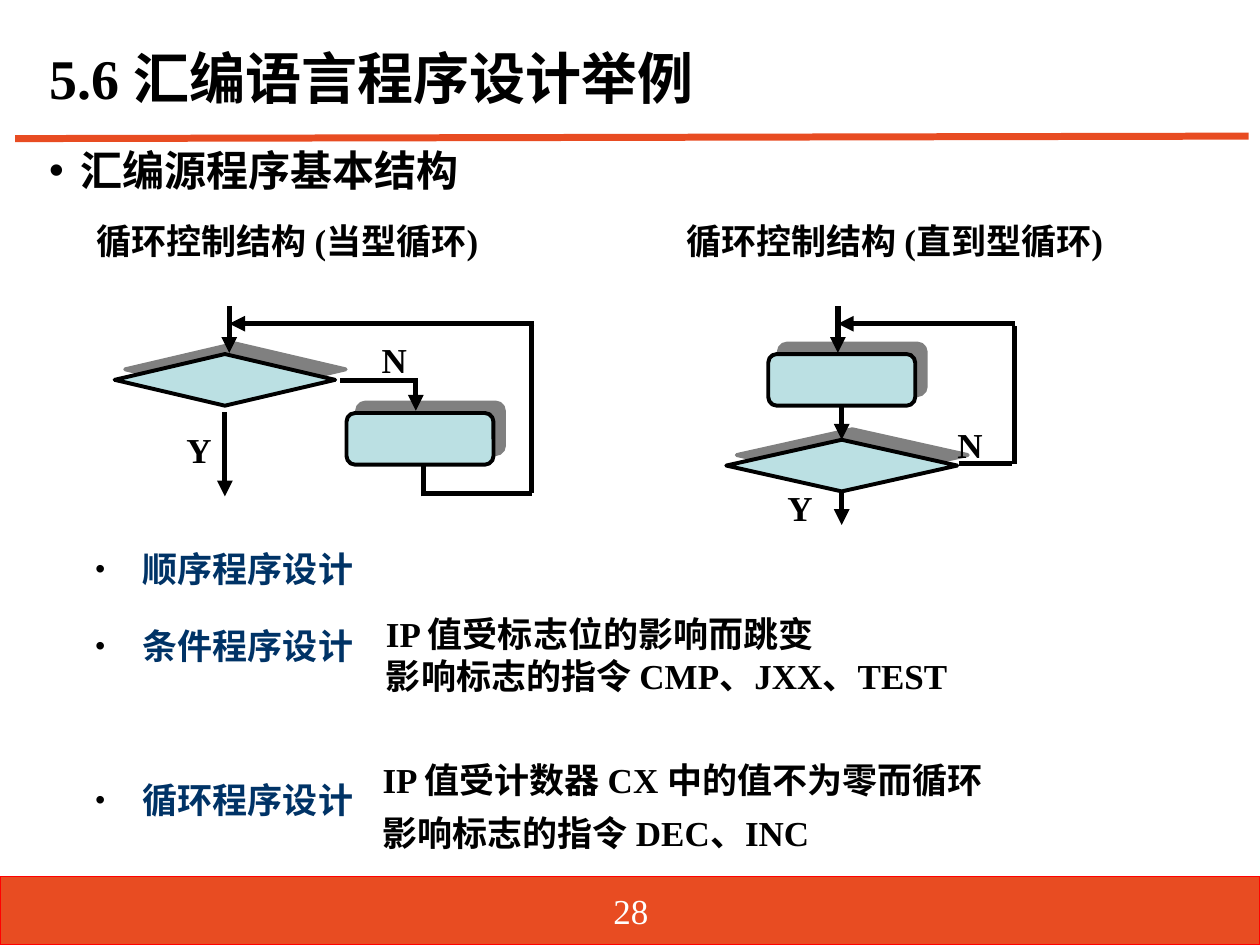
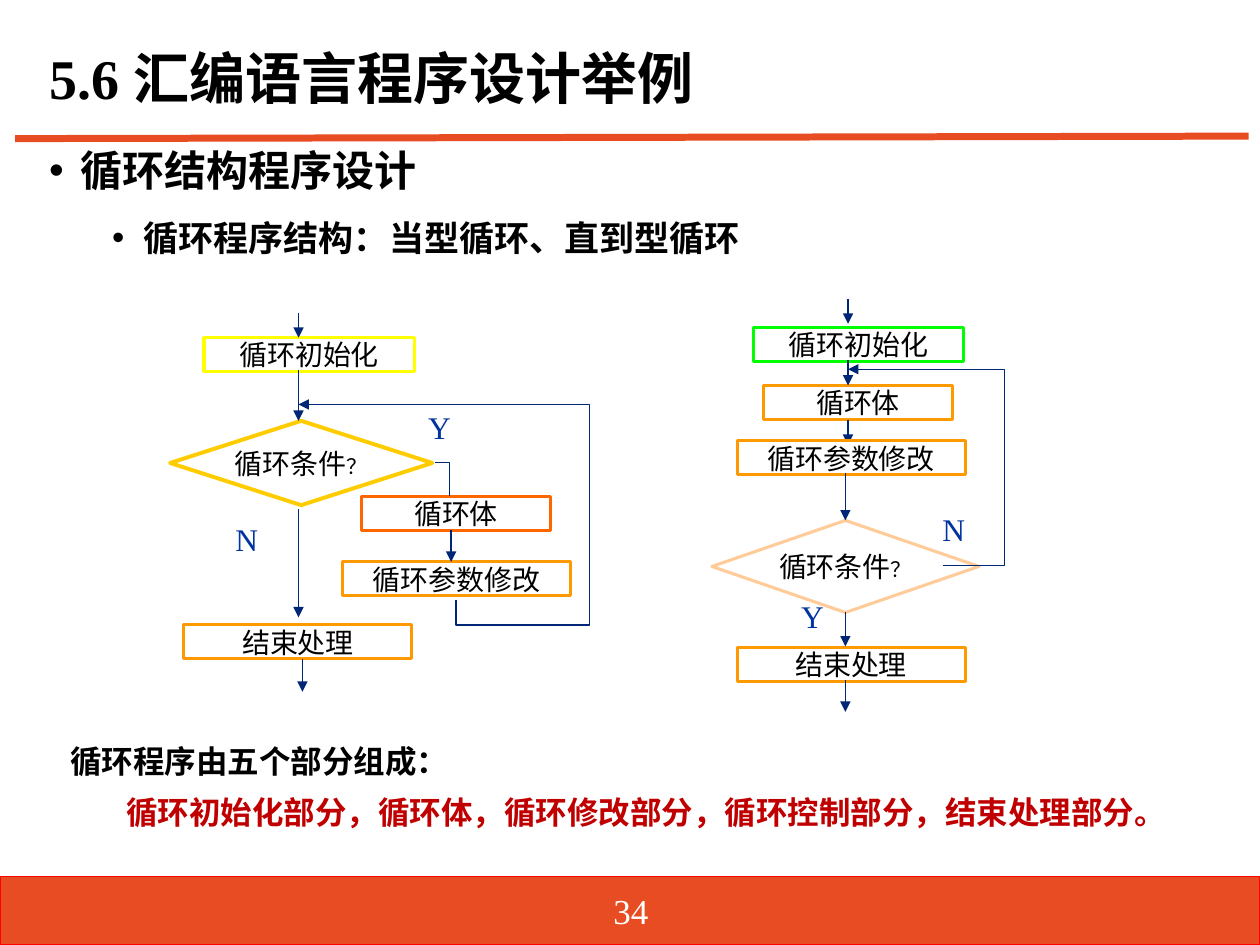
from lxml import etree
from pptx import Presentation
from pptx.dml.color import RGBColor
from pptx.enum.lang import MSO_LANGUAGE_ID
from pptx.enum.shapes import MSO_CONNECTOR, MSO_SHAPE
from pptx.enum.text import MSO_ANCHOR, PP_ALIGN
from pptx.oxml.ns import qn
from pptx.util import Pt

STRAIGHT = MSO_CONNECTOR.STRAIGHT
RECT = MSO_SHAPE.RECTANGLE
DECISION = MSO_SHAPE.FLOWCHART_DECISION
PROCESS = MSO_SHAPE.FLOWCHART_ALTERNATE_PROCESS
TOP, MIDDLE = MSO_ANCHOR.TOP, MSO_ANCHOR.MIDDLE
LEFT, CENTER = PP_ALIGN.LEFT, PP_ALIGN.CENTER
CHINESE = MSO_LANGUAGE_ID.SIMPLIFIED_CHINESE
SITE_TOP, SITE_BOTTOM = 0, 2

FONT = "Times New Roman"
BLACK, WHITE, ORANGE = "000000", "FFFFFF", "E84C22"
NAVY, FLOW_LINE, FLOW_LABEL, RED = "003366", "002676", "00349E", "C00000"
PALE_BLUE, SHADOW, AMBER = "BBE0E3", "808080", "FF9900"
SLIDE_W, SLIDE_H = 720, 540
NODE_H, SHADED_H = 19.4, 29.5
CHAPTER = "5.6 汇编语言程序设计举例"


def rgb(color):
    return RGBColor.from_string(color)


def add_xml(parent, tag, **attributes):
    return etree.SubElement(parent, qn(tag), attributes)


def shifted(origin, x, y):
    return Pt(origin[0] + x), Pt(origin[1] + y)


def format_run(run, size, color=BLACK, bold=False, font=FONT):
    run.font.size, run.font.bold, run.font.name = Pt(size), bold, font
    run.font.color.rgb = rgb(color)
    run.font.language_id = CHINESE


def add_text(slide, box, lines, size, color=BLACK, bold=True,
             align=LEFT, anchor=TOP, before=0):
    """Write one paragraph per line and return the paragraphs."""
    frame = slide.shapes.add_textbox(*map(Pt, box)).text_frame
    frame.word_wrap, frame.vertical_anchor = True, anchor
    frame.text = "\n".join(lines)
    for paragraph in frame.paragraphs:
        paragraph.alignment = align
        paragraph.space_before = Pt(before)
        for run in paragraph.runs:
            format_run(run, size, color, bold)
    return frame.paragraphs


def add_bullet(paragraph, left, hanging, percent=100):
    props = paragraph._p.get_or_add_pPr()
    props.set("marL", str(Pt(left)))
    props.set("indent", str(-Pt(hanging)))
    add_xml(add_xml(props, "a:buClr"), "a:srgbClr", val=BLACK)
    add_xml(props, "a:buSzPct", val=str(percent * 1000))
    add_xml(props, "a:buFont", typeface="Arial")
    add_xml(props, "a:buChar", char="•")


def style_line(shape, color, width, arrow=False):
    shape.line.color.rgb = rgb(color)
    shape.line.width = Pt(width)
    if arrow:
        add_xml(shape.element.spPr.find(qn("a:ln")), "a:tailEnd", type="triangle")


def add_line(slide, origin, points, color, width, arrow=False, start=None, end=None):
    """Draw a straight line; start and end are (shape, site) joints."""
    x1, y1, x2, y2 = points
    line = slide.shapes.add_connector(
        STRAIGHT, *shifted(origin, x1, y1), *shifted(origin, x2, y2))
    if start:
        line.begin_connect(*start)
    if end:
        line.end_connect(*end)
    style_line(line, color, width, arrow)
    add_xml(line.element.spPr, "a:effectLst")


def add_path(slide, origin, points, arrow=False):
    corners = [shifted(origin, *point) for point in points]
    builder = slide.shapes.build_freeform(*corners[0])
    builder.add_line_segments(corners[1:], close=False)
    path = builder.convert_to_shape()
    path.fill.background()
    path.shadow.inherit = False
    style_line(path, FLOW_LINE, 0.75, arrow)


def add_block(slide, kind, origin, box, fill, border, width):
    x, y, w, h = box
    block = slide.shapes.add_shape(kind, *shifted(origin, x, y), Pt(w), Pt(h))
    block.fill.solid()
    block.fill.fore_color.rgb = rgb(fill)
    block.shadow.inherit = False
    style_line(block, border, width)
    return block


def add_label(slide, origin, x, y, text, size, color, bold):
    add_text(slide, (origin[0] + x, origin[1] + y, 30, 30), [text], size, color, bold)


# Shared frame: band, rule, chapter title, page number, topic
def add_frame(prs, topic, page):
    slide = prs.slides.add_slide(prs.slide_layouts[6])
    add_block(slide, RECT, (0, 0), (0, 501, SLIDE_W, 39), ORANGE, "FF0000", 0)
    add_line(slide, (0, 0), (8.6, 79.2, 713.5, 77.8), ORANGE, 4)
    title, = add_text(slide, (21, 15, 680, 63.4), [CHAPTER], 32, anchor=MIDDLE)
    title.line_spacing = 0.9
    add_text(slide, (279.5, 506, 162, 29), [page], 20, WHITE, False, CENTER, MIDDLE)
    topics = add_text(slide, (21, 79.2, 680, 421), topic, 24, before=6)
    for level, paragraph in enumerate(topics):
        paragraph.space_after = Pt(6)
        add_bullet(paragraph, 18 + 36 * level, 18)
        if level:
            format_run(paragraph.runs[0], 20, bold=True, font="Arial")
    return slide


# Slide 28: shaded flowcharts
def add_shaded_block(slide, kind, origin, box):
    block = add_block(slide, kind, origin, box, PALE_BLUE, BLACK, 2.25)
    effects = block.element.spPr.find(qn("a:effectLst"))
    shadow = add_xml(effects, "a:outerShdw", blurRad="0", dist=str(Pt(8.5)),
                     dir=str(315 * 60000), algn="ctr", rotWithShape="0")
    add_xml(shadow, "a:srgbClr", val=SHADOW)
    return block


def add_bold_lines(slide, origin, lines, arrows):
    for points in lines:
        add_line(slide, origin, points, BLACK, 3)
    for points in arrows:
        add_line(slide, origin, points, BLACK, 3, True)


def while_outline(slide, origin):
    add_text(slide, (*origin, 235, 32), ["循环控制结构 (当型循环)"], 20)
    add_shaded_block(slide, DECISION, origin, (17.5, 80.3, 126, SHADED_H))
    add_shaded_block(slide, PROCESS, origin, (150, 114, 84, SHADED_H))
    add_bold_lines(
        slide, origin,
        lines=[(146.4, 95.5, 188.2, 95.5), (195.4, 160.2, 255.8, 160.2),
               (193.9, 161.7, 193.9, 143), (255.8, 159.5, 255.8, 63)],
        arrows=[(83, 53, 83, 79.6), (80.5, 113.5, 80.5, 161.7),
                (189.6, 94, 189.6, 112.7), (257.3, 63, 83, 63)])
    add_label(slide, origin, 51.4, 119.2, "Y", 20, BLACK, True)
    add_label(slide, origin, 163, 68, "N", 20, BLACK, True)


def until_outline(slide, origin):
    add_text(slide, (*origin, 255, 32), ["循环控制结构 (直到型循环)"], 20)
    process = add_shaded_block(slide, PROCESS, origin, (54, 80.3, 84, SHADED_H))
    decision = add_shaded_block(slide, DECISION, origin, (30, 129.3, 132, SHADED_H))
    add_line(slide, origin, (96, 110, 96, 129), BLACK, 3, True,
             (process, SITE_BOTTOM), (decision, SITE_TOP))
    add_line(slide, origin, (96, 159, 96, 178), BLACK, 3, True,
             (decision, SITE_BOTTOM))
    add_bold_lines(
        slide, origin,
        lines=[(163, 143, 193.2, 143), (194.6, 143, 194.6, 64.5)],
        arrows=[(93.8, 53, 93.8, 79.6), (195.3, 63, 93.8, 63)])
    add_label(slide, origin, 155, 116.3, "N", 20, BLACK, True)
    add_label(slide, origin, 57.8, 152.3, "Y", 20, BLACK, True)


def design_list(slide, origin):
    x, y = origin
    kinds = add_text(slide, (x, y, 571, 184),
                     ["顺序程序设计", "条件程序设计", "循环程序设计"], 20, NAVY, before=8)
    for paragraph in kinds:
        paragraph.line_spacing = 1.5
    kinds[-1].space_before = Pt(52)
    for paragraph in kinds:
        add_bullet(paragraph, 27, 27, 80)
    add_text(slide, (x + 166, y + 49, 380, 55),
             ["IP 值受标志位的影响而跳变", "影响标志的指令 CMP、JXX、TEST"], 20)
    add_text(slide, (x + 164, y + 132.5, 386, 63),
             ["IP 值受计数器 CX 中的值不为零而循环", "影响标志的指令 DEC、INC"],
             20, before=6)


# Slide 34: labelled flowcharts
def add_node(slide, origin, box, text, border, kind=RECT, width=1.75):
    node = add_block(slide, kind, origin, box, WHITE, border, width)
    frame = node.text_frame
    frame.word_wrap, frame.vertical_anchor = False, MIDDLE
    frame.margin_top = frame.margin_bottom = 0
    paragraph = frame.paragraphs[0]
    paragraph.alignment = CENTER
    paragraph.text = text
    format_run(paragraph.runs[0], 16)
    return node


def add_condition(slide, origin, box, border, width):
    condition = add_node(slide, origin, box, "循环条件", border, DECISION, width)
    mark = condition.text_frame.paragraphs[0].add_run()
    mark.text = "？"
    format_run(mark, 12)
    return condition


def add_steps(slide, origin, steps):
    for text, x, y, w, border in steps:
        add_node(slide, origin, (x, y, w, NODE_H), text, border)


def add_drops(slide, origin, drops):
    for x, y1, y2 in drops:
        add_line(slide, origin, (x, y1, x, y2), FLOW_LINE, 0.75, True)


def while_flow(slide, origin):
    add_condition(slide, origin, (0, 61.9, 149.8, 48.2), "FFCC00", 2.25)
    add_steps(slide, origin, [("循环初始化", 19.4, 14.4, 120.2, "FFFF00"),
                              ("循环体", 109.4, 105.1, 108, "FF6600")])
    add_drops(slide, origin, [(73.4, 112.3, 174.2), (73.4, 0, 14.4), (73.4, 33.1, 61.9)])
    add_label(slide, origin, 140.4, 51.1, "Y", 18, FLOW_LABEL, False)
    add_label(slide, origin, 30.2, 115.2, "N", 18, FLOW_LABEL, False)
    add_path(slide, origin, [(151.2, 85.6), (159.8, 85.6), (159.8, 105.1)])
    add_path(slide, origin, [(163.4, 164.1), (163.4, 178.5), (239.8, 178.5),
                             (239.8, 52.5), (73.4, 52.5)], True)
    add_steps(slide, origin, [("循环参数修改", 98.6, 142.5, 130.3, AMBER),
                              ("结束处理", 7.9, 178.5, 130.3, AMBER)])
    add_drops(slide, origin, [(160.6, 124.5, 142.5), (75.6, 198, 216.7)])


def until_flow(slide, origin):
    condition = add_condition(slide, origin, (0, 126.8, 152.6, 52.6), "FFCC99", 1.75)
    add_steps(slide, origin, [("循环初始化", 23.8, 16.6, 120.2, "00FF00"),
                              ("循环体", 29.5, 49.7, 108, AMBER)])
    add_drops(slide, origin, [(77.8, 0, 14.4), (77.8, 35.3, 49.7), (77.8, 69.2, 83.6)])
    add_path(slide, origin, [(131.8, 152.7), (167, 152.7), (167, 40.4), (77.8, 40.4)], True)
    add_label(slide, origin, 43.9, 167.1, "Y", 18, FLOW_LABEL, False)
    add_label(slide, origin, 124.6, 117.4, "N", 18, FLOW_LABEL, False)
    add_steps(slide, origin, [("循环参数修改", 14.4, 81.4, 130.3, AMBER),
                              ("结束处理", 14.4, 199.5, 130.3, AMBER)])
    add_line(slide, origin, (76.3, 99.4, 76.3, 126.8), FLOW_LINE, 0.75, True,
             end=(condition, SITE_TOP))
    add_line(slide, origin, (76.3, 179.4, 76.3, 198.8), FLOW_LINE, 0.75, True,
             start=(condition, SITE_BOTTOM))
    add_drops(slide, origin, [(76.3, 218.2, 236.2)])


def loop_summary(slide, origin):
    x, y = origin
    add_text(slide, (x, y, 235, 29), ["循环程序由五个部分组成："], 18)
    add_text(slide, (x + 32, y + 29, 630, 29),
             ["循环初始化部分，循环体，循环修改部分，循环控制部分，结束处理部分。"], 18, RED)


def main():
    prs = Presentation()
    prs.slide_width, prs.slide_height = Pt(SLIDE_W), Pt(SLIDE_H)

    structures = add_frame(prs, ["汇编源程序基本结构"], "28")
    while_outline(structures, (48, 122))
    until_outline(structures, (385, 122))
    design_list(structures, (47.5, 297.5))

    loops = add_frame(prs, ["循环结构程序设计", "循环程序结构：当型循环、直到型循环"], "34")
    loop_summary(loops, (33, 420.5))
    until_flow(loops, (406.8, 170.6))
    while_flow(loops, (97.2, 178.6))

    prs.save("out.pptx")


if __name__ == "__main__":
    main()
